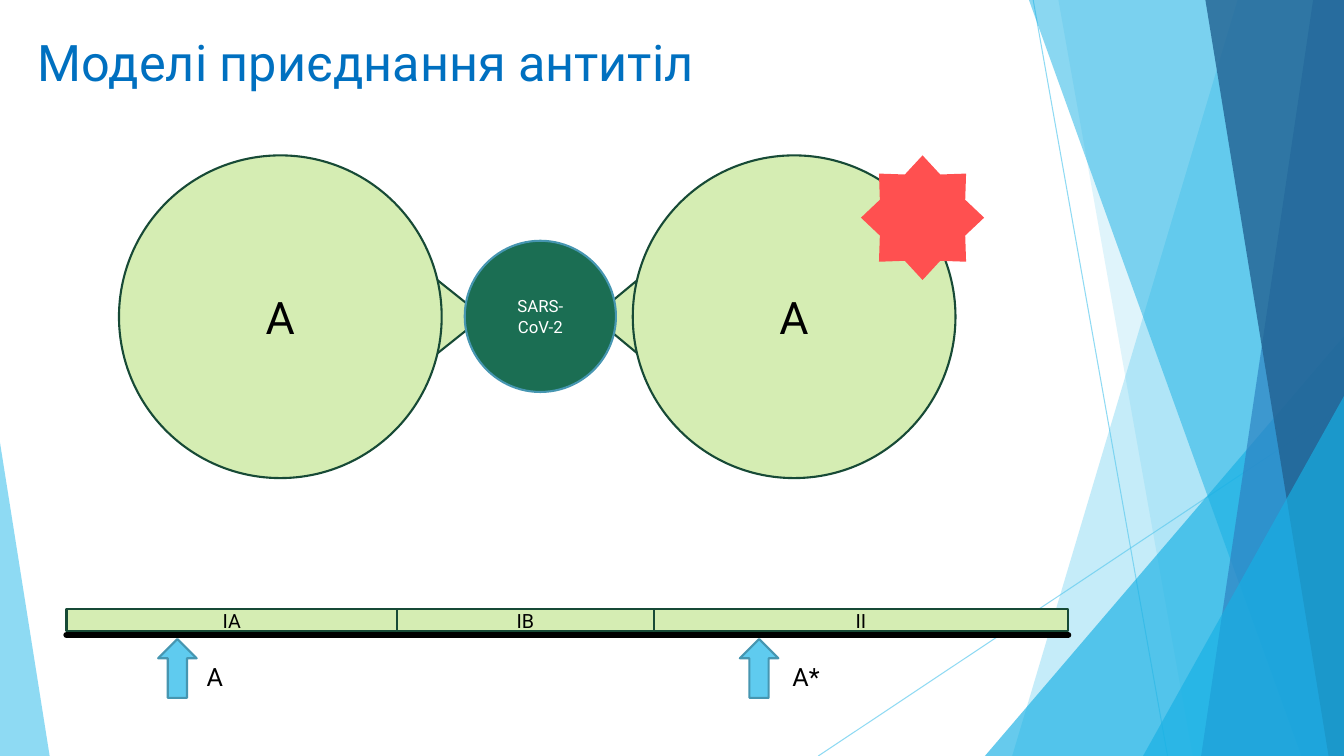
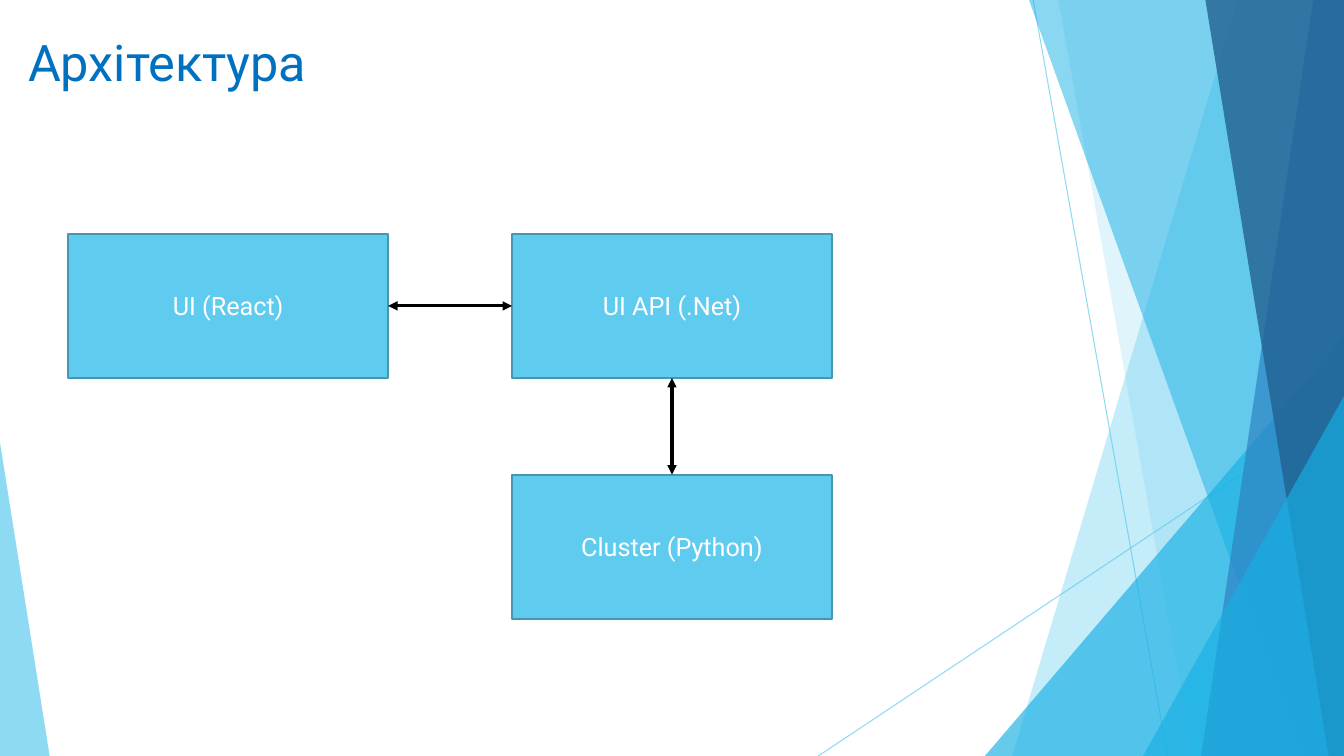
from dataclasses import dataclass
from pptx import Presentation
from pptx.dml.color import RGBColor
from pptx.enum.shapes import MSO_CONNECTOR, MSO_SHAPE
from pptx.enum.text import MSO_ANCHOR, PP_ALIGN
from pptx.oxml.ns import qn
from pptx.oxml.xmlchemy import OxmlElement
from pptx.util import Pt


@dataclass(frozen=True)
class Theme:
    font: str = "Roboto"
    head: str = "0070C0"
    ink: str = "000000"
    white: str = "FFFFFF"
    sky: str = "5FCBEF"
    rim: str = "4696B1"
    azure: str = "17B0E4"
    blue: str = "2E83C3"
    navy: str = "226292"
    lime: str = "D5EDB3"
    moss: str = "174A36"
    pine: str = "1B6E53"
    red: str = "FF5050"
    title: int = 36
    large: int = 32
    body: int = 18
    small: int = 14
    tiny: int = 12
    edge: float = 1.5


T = Theme()
WIDE, HIGH = 960, 540


def fade(shape, share):
    for tint in shape.element.spPr.iter(qn("a:srgbClr")):
        alpha = OxmlElement("a:alpha")
        alpha.set("val", str(share * 1000))
        tint.append(alpha)


def paint(shape, fill, line=None):
    shape.shadow.inherit = False
    shape.fill.solid()
    shape.fill.fore_color.rgb = RGBColor.from_string(fill)
    if line:
        shape.line.color.rgb = RGBColor.from_string(line)
        shape.line.width = Pt(T.edge)
    else:
        shape.line.fill.background()


def write(shape, text, size, color, align=PP_ALIGN.LEFT, anchor=MSO_ANCHOR.TOP):
    frame = shape.text_frame
    frame.word_wrap = True
    frame.vertical_anchor = anchor
    frame.text = text
    para = frame.paragraphs[0]
    para.alignment = align
    font = para.runs[0].font
    font.name, font.size = T.font, Pt(size)
    font.color.rgb = RGBColor.from_string(color)


def place(shapes, kind, box, fill, line=None, text="", size=T.body, color=T.ink):
    shape = shapes.add_shape(kind, *map(Pt, box))
    paint(shape, fill, line)
    if text:
        write(shape, text, size, color, PP_ALIGN.CENTER, MSO_ANCHOR.MIDDLE)
    return shape


def label(shapes, box, text, size, color):
    write(shapes.add_textbox(*map(Pt, box)), text, size, color)


def link(shapes, start, end, color, width, heads=False, cap="flat"):
    line = shapes.add_connector(MSO_CONNECTOR.STRAIGHT, *map(Pt, (*start, *end)))
    line.line.color.rgb = RGBColor.from_string(color)
    line.line.width = Pt(width)
    stroke = line.get_or_add_ln()
    stroke.set("cap", cap)
    if heads:
        for side in ("a:headEnd", "a:tailEnd"):
            tip = OxmlElement(side)
            tip.set("type", "triangle")
            stroke.append(tip)
    line.element.spPr.append(OxmlElement("a:effectLst"))
    return line


def band(shapes, top, foot, fill, share):
    pen = shapes.build_freeform(Pt(top), 0)
    pen.add_line_segments([(Pt(x), Pt(y)) for x, y in
                           ((WIDE, 0), (WIDE, HIGH), (foot, HIGH))])
    shape = pen.convert_to_shape()
    paint(shape, fill)
    fade(shape, share)


def wedge(shapes, left, top, right, apex, fill, share):
    box = (left, top, right - left, HIGH - top)
    shape = place(shapes, MSO_SHAPE.ISOSCELES_TRIANGLE, box, fill)
    shape.adjustments[0] = apex
    fade(shape, share)


def backdrop(slide):
    shapes = slide.shapes
    for start, end in (((738, 0), (834, HIGH)), ((WIDE, 290), (584.5, HIGH))):
        fade(link(shapes, start, end, T.sky, 0.75), 70)
    band(shapes, 884, 723, T.sky, 36)
    band(shapes, 756, 852, T.sky, 20)
    wedge(shapes, 703.5, 240, WIDE, 1, T.azure, 66)
    band(shapes, 735, 929.5, T.azure, 50)
    band(shapes, 938, 858, T.blue, 70)
    band(shapes, 861, 949, T.navy, 80)
    wedge(shapes, 816.5, 283, WIDE, 1, T.azure, 66)
    wedge(shapes, 0, 316, 35.5, 0, T.sky, 70)
    base = slide.slide_layout.shapes.element
    for shape in list(shapes):
        base.append(shape.element)


def title(slide, left, text):
    label(slide.shapes, (left, 19, 715, 59), text, T.title, T.head)


def cell(slide, box, beak, shift, turn, star=False):
    left, top, side = box
    wide, deep = beak
    shapes = slide.shapes.add_group_shape().shapes
    mid, axis = left + side / 2 + shift, top + side / 2
    beak_box = (mid - wide / 2, axis - deep / 2, wide, deep)
    place(shapes, MSO_SHAPE.ISOSCELES_TRIANGLE, beak_box, T.lime, T.moss).rotation = turn
    place(shapes, MSO_SHAPE.OVAL, (left, top, side, side), T.lime, T.moss, "A", T.large)
    if star:
        place(shapes, MSO_SHAPE.STAR_8_POINT, (left + 163, top, 88, 89), T.red)


def strip(slide, left, top, parts):
    shapes = slide.shapes
    total = sum(width for _, width in parts)
    base = top + 18.5
    link(shapes, (left, base), (left + total, base), T.ink, 4.5, cap="rnd")
    for text, width in parts:
        place(shapes, MSO_SHAPE.RECTANGLE, (left, top, width, 16),
              T.lime, T.moss, text, T.small)
        left += width


def marker(slide, left, top, gap, text):
    place(slide.shapes, MSO_SHAPE.UP_ARROW, (left, top, 27.5, 42), T.sky, T.rim)
    label(slide.shapes, (left + 27.5 + gap, top + 12, 56, 29), text, T.body, T.ink)


def models(slide):
    cell(slide, (85, 111, 230.5), (94, 59), 115.5, 90)
    cell(slide, (452, 111, 230.5), (114.5, 69), -109, 270, star=True)
    place(slide.shapes, MSO_SHAPE.OVAL, (332, 172, 108, 108),
          T.pine, T.rim, "SARS-CoV-2", T.tiny, T.white)
    title(slide, 20, "Моделі приєднання антитіл")
    strip(slide, 47.5, 435, (("IA", 236), ("IB", 183.5), ("II", 296)))
    marker(slide, 113, 456.5, 0, "A")
    marker(slide, 528.5, 456.5, 3, "A*")


def system(slide, box):
    left, top, width, height = box
    right, low = left + 317, top + 172
    shapes = slide.shapes
    for x, y, text in ((left, top, "UI (React)"), (right, top, "UI API (.Net)"),
                       (right, low, "Cluster (Python)")):
        place(shapes, MSO_SHAPE.RECTANGLE, (x, y, width, height),
              T.sky, T.rim, text, T.body, T.white)
    row, stem = top + height / 2, right + width / 2
    link(shapes, (left + width, row), (right, row), T.ink, 2.25, heads=True)
    link(shapes, (stem, top + height), (stem, low), T.ink, 2.25, heads=True)


deck = Presentation()
deck.slide_width, deck.slide_height = Pt(WIDE), Pt(HIGH)
blank = deck.slide_layouts[6]
first = deck.slides.add_slide(blank)
backdrop(first)
models(first)
second = deck.slides.add_slide(blank)
title(second, 13, "Архітектура")
system(second, (48.75, 167, 228.5, 103))
deck.save("out.pptx")
